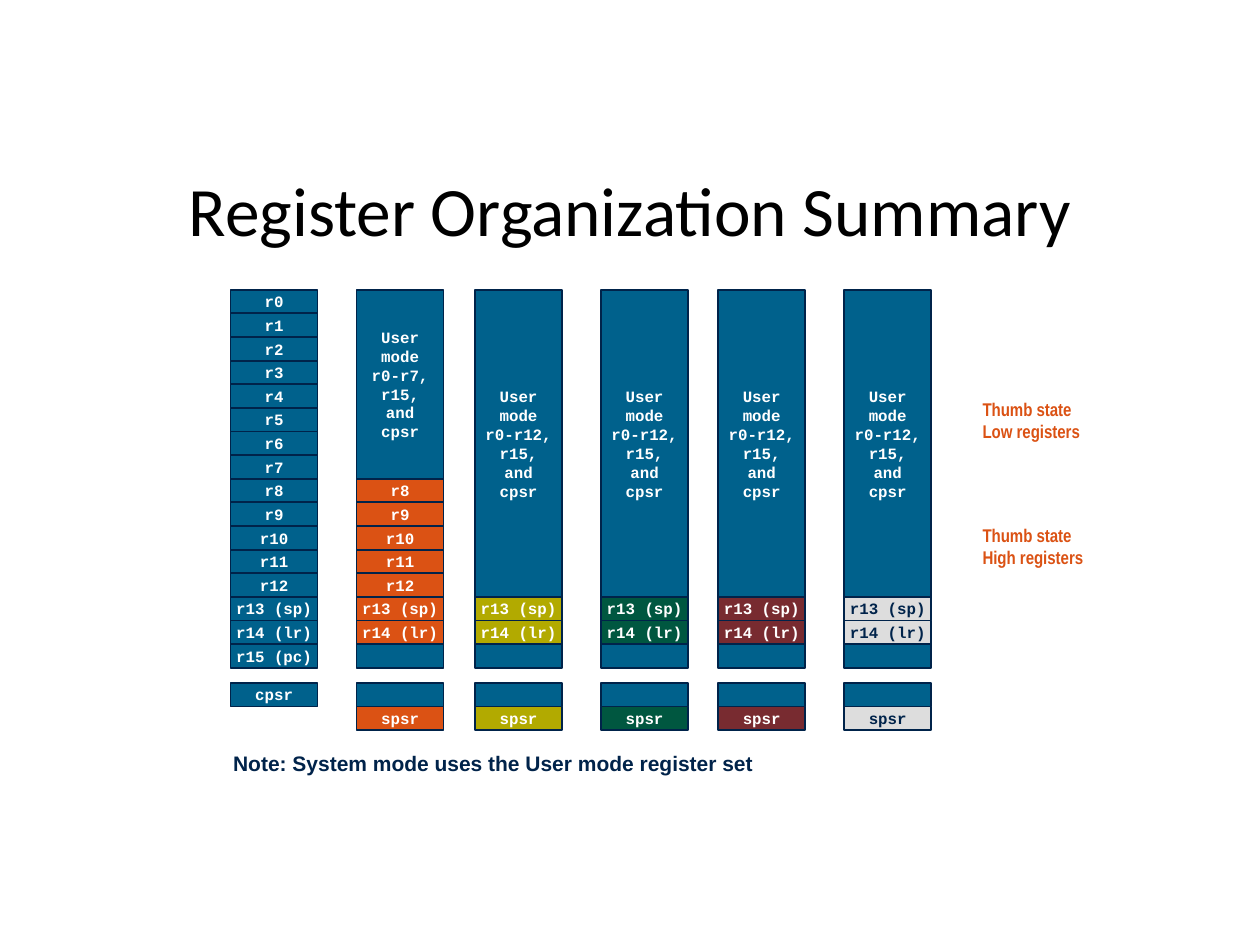
from dataclasses import dataclass

from pptx import Presentation
from pptx.dml.color import RGBColor as Color
from pptx.enum.shapes import MSO_SHAPE as Preset
from pptx.enum.text import MSO_ANCHOR as Anchor, MSO_AUTO_SIZE as AutoSize, PP_ALIGN as Align
from pptx.util import Inches, Pt


@dataclass(frozen=True)
class Theme:
    """Colours, fonts and type sizes of the slide."""
    black: str = "000000"
    white: str = "FFFFFF"
    navy: str = "00234A"
    blue: str = "00618C"
    orange: str = "DB5214"
    olive: str = "B2AA00"
    green: str = "005740"
    maroon: str = "782B30"
    grey: str = "DDDDDD"
    title_font: str = "Calibri"
    cell_font: str = "Courier New"
    label_font: str = "Arial Narrow"
    note_font: str = "Arial"
    title_size: float = 39.6
    cell_size: float = 9
    label_size: float = 10.5
    note_size: float = 12


THEME = Theme()
REGISTERS = [f"r{number}" for number in range(13)] + ["r13 (sp)", "r14 (lr)", "r15 (pc)"]
BANK_TOP = Inches(2.3)
BANK_WIDTH = Inches(0.69)
ROW_HEIGHT = Inches(3) // 16
STATUS_TOP = Inches(5.42)
MODES = [
    (2.83, 8, THEME.orange, THEME.white),
    (3.77, 13, THEME.olive, THEME.white),
    (4.77, 13, THEME.green, THEME.white),
    (5.7, 13, THEME.maroon, THEME.white),
    (6.7, 13, THEME.grey, THEME.navy),
]
THUMB_LABELS = [
    (3.11, ["Thumb state", "Low registers"]),
    (4.11, ["Thumb state", "High registers"]),
]


def add_run(paragraph, text, font, size, color, bold=True):
    """Append one formatted run to a paragraph."""
    run = paragraph.add_run()
    run.text = text
    run.font.name = font
    run.font.size = Pt(size)
    run.font.bold = bold
    run.font.color.rgb = Color.from_string(color)


def set_insets(frame, horizontal, vertical):
    """Set equal side insets and equal top and bottom insets."""
    frame.margin_left = frame.margin_right = Inches(horizontal)
    frame.margin_top = frame.margin_bottom = Inches(vertical)


def add_cell(shapes, left, top, height, fill, lines=(), color=THEME.white):
    """Draw one register cell with centred lines of text."""
    cell = shapes.add_shape(Preset.RECTANGLE, left, top, BANK_WIDTH, height)
    cell.shadow.inherit = False
    cell.fill.solid()
    cell.fill.fore_color.rgb = Color.from_string(fill)
    cell.line.color.rgb = Color.from_string(THEME.navy)
    cell.line.width = Pt(1)
    frame = cell.text_frame
    frame.word_wrap = False
    frame.vertical_anchor = Anchor.MIDDLE
    set_insets(frame, 0.06, 0.03)
    paragraph = frame.paragraphs[0]
    paragraph.alignment = Align.CENTER
    for index, line in enumerate(lines):
        if index:
            paragraph.add_line_break()
        add_run(paragraph, line, THEME.cell_font, THEME.cell_size, color)


def add_user_bank(slide, left, top):
    """Draw the complete user mode bank as one group."""
    shapes = slide.shapes.add_group_shape().shapes
    for row, name in enumerate(REGISTERS):
        add_cell(shapes, left, top + row * ROW_HEIGHT, ROW_HEIGHT, THEME.blue, [name])
    add_cell(shapes, left, STATUS_TOP, ROW_HEIGHT, THEME.blue, ["cpsr"])


def add_mode_bank(slide, left, top, shared, fill, color):
    """Draw a bank with its shared registers above the mode's own ones."""
    shapes = slide.shapes
    summary = ["User", "mode", f"r0-r{shared - 1},", "r15,", "and", "cpsr"]
    add_cell(shapes, left, top, shared * ROW_HEIGHT, THEME.blue, summary)
    for row in range(shared, 15):
        add_cell(shapes, left, top + row * ROW_HEIGHT, ROW_HEIGHT, fill, [REGISTERS[row]], color)
    for blank_top in (top + 15 * ROW_HEIGHT, STATUS_TOP):
        add_cell(shapes, left, blank_top, ROW_HEIGHT, THEME.blue)
    add_cell(shapes, left, STATUS_TOP + ROW_HEIGHT, ROW_HEIGHT, fill, ["spsr"], color)


def add_title(slide, left, top, width, height):
    """Place and fill the title placeholder."""
    title = slide.shapes.title
    title.left, title.top, title.width, title.height = left, top, width, height
    frame = title.text_frame
    frame.auto_size = AutoSize.NONE
    frame.word_wrap = True
    frame.vertical_anchor = Anchor.MIDDLE
    paragraph = frame.paragraphs[0]
    paragraph.alignment = Align.CENTER
    add_run(paragraph, "Register Organization Summary", THEME.title_font,
            THEME.title_size, THEME.black, bold=False)


def add_text(slide, left, top, width, height, lines, font, size, color):
    """Add a wrapping text box with one paragraph per line."""
    frame = slide.shapes.add_textbox(left, top, width, height).text_frame
    frame.word_wrap = True
    for index, line in enumerate(lines):
        paragraph = frame.add_paragraph() if index else frame.paragraphs[0]
        add_run(paragraph, line, font, size, color)
    return frame


def add_note(slide, left, top, width, height):
    """Add the note below the register banks."""
    frame = add_text(slide, left, top, width, height,
                     ["Note: System mode uses the User mode register set"],
                     THEME.note_font, THEME.note_size, THEME.navy)
    frame.vertical_anchor = Anchor.MIDDLE
    set_insets(frame, 0.08, 0.04)


def main():
    """Build and save the register summary slide."""
    presentation = Presentation()
    presentation.slide_width, presentation.slide_height = Inches(10), Inches(7.5)
    slide = presentation.slides.add_slide(presentation.slide_layouts[5])
    add_title(slide, Inches(0.69), Inches(1.44), Inches(8.62), Inches(0.43))
    add_user_bank(slide, Inches(1.83), BANK_TOP)
    for left, shared, fill, color in MODES:
        add_mode_bank(slide, Inches(left), BANK_TOP, shared, fill, color)
    for top, lines in THUMB_LABELS:
        add_text(slide, Inches(7.7), Inches(top), Inches(1.2), Inches(0.45), lines,
                 THEME.label_font, THEME.label_size, THEME.orange)
    add_note(slide, Inches(1.77), Inches(5.92), Inches(5.69), Inches(0.28))
    presentation.save("out.pptx")


if __name__ == "__main__":
    main()
